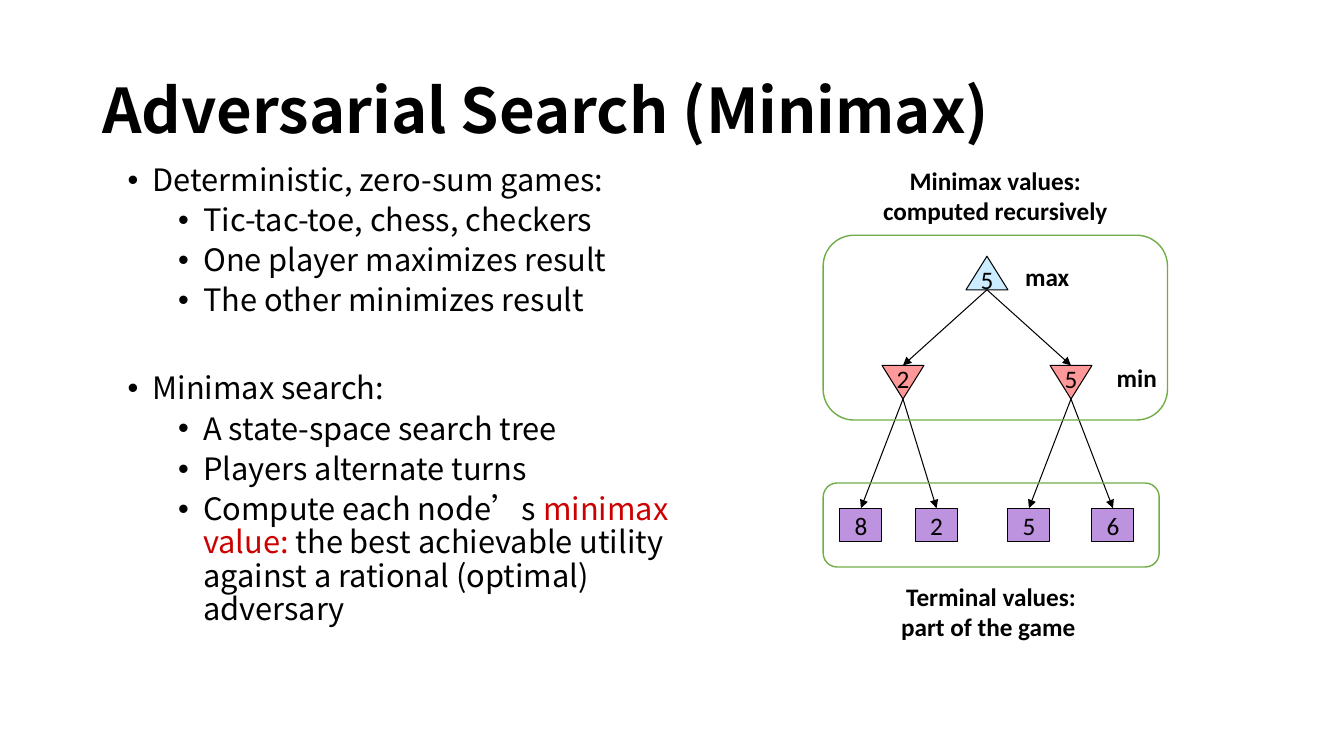
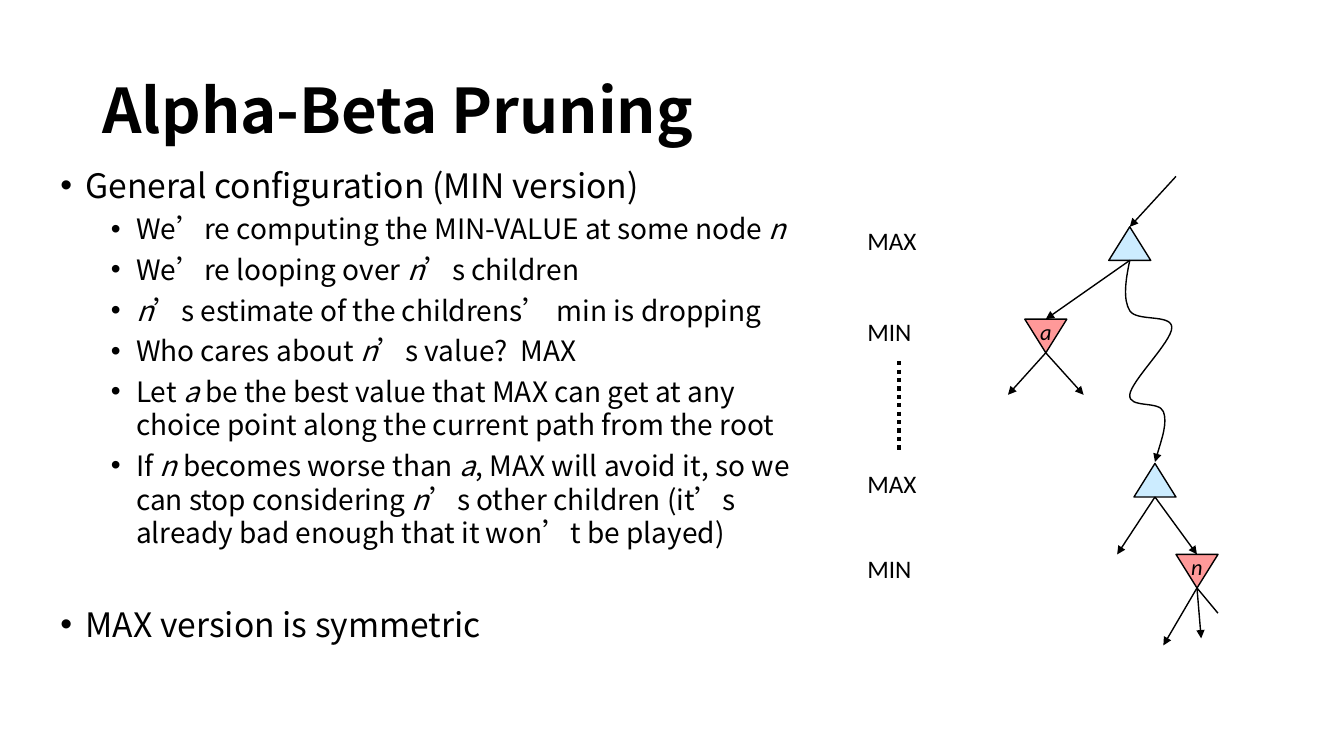
from lxml.etree import SubElement
from pptx import Presentation
from pptx.dml.color import RGBColor
from pptx.enum.dml import MSO_LINE
from pptx.enum.shapes import MSO_CONNECTOR, MSO_SHAPE
from pptx.enum.text import MSO_ANCHOR, MSO_AUTO_SIZE, PP_ALIGN
from pptx.oxml.ns import qn
from pptx.util import Pt

BLACK = RGBColor(0x00, 0x00, 0x00)
RED = RGBColor(0xCC, 0x00, 0x00)
GREEN = RGBColor(0x70, 0xAD, 0x47)
MAX_BLUE = RGBColor(0xCC, 0xEC, 0xFF)
MIN_PINK = RGBColor(0xFF, 0x99, 0x99)
LEAF_PURPLE = RGBColor(0xBD, 0x92, 0xDE)

TITLE_FORMAT = {"name": "Noto Sans CJK SC", "size": Pt(44), "bold": True}
BODY_FORMAT = {"name": "Noto Sans CJK SC"}
LABEL_FORMAT = {"name": "Calibri", "size": Pt(18)}
BOLD_LABEL = {**LABEL_FORMAT, "bold": True}
NODE_LETTER = {"name": "Calibri", "size": Pt(16), "italic": True}

NODE_WIDTH, NODE_HEIGHT = 30, 24
LABEL_HEIGHT = 29
SECTION_GAP = 39

MINIMAX_LIST = [
    (0, 0, "Deterministic, zero-sum games:"),
    (1, 5, "Tic-tac-toe, chess, checkers"),
    (1, 5, "One player maximizes result"),
    (1, 5, "The other minimizes result"),
    (0, SECTION_GAP, "Minimax search:"),
    (1, 5, "A state-space search tree"),
    (1, 5, "Players alternate turns"),
    (1, 5, "Compute each node’s *minimax value: *the best achievable utility "
           "against a rational (optimal) adversary"),
]
PRUNING_LIST = [
    (0, 0, "General configuration (MIN version)"),
    (1, 5, "We’re computing the MIN-VALUE at some node *n*"),
    (1, 5, "We’re looping over *n*’s children"),
    (1, 5, "*n*’s estimate of the childrens’ min is dropping"),
    (1, 5, "Who cares about *n*’s value?  MAX"),
    (1, 5, "Let *a* be the best value that MAX can get at any choice point "
           "along the current path from the root"),
    (1, 5, "If *n* becomes worse than *a*, MAX will avoid it, so we can stop "
           "considering *n*’s other children (it’s already bad enough that "
           "it won’t be played)"),
    (0, SECTION_GAP, "MAX version is symmetric"),
]


def format_font(font, values, color=BLACK):
    """Set every font attribute in values, and the colour."""
    for name, value in values.items():
        setattr(font, name, value)
    font.color.rgb = color


def place(shape, left, top, width, height):
    """Move and size a shape, in points."""
    box = {"left": left, "top": top, "width": width, "height": height}
    for name, value in box.items():
        setattr(shape, name, Pt(value))


def add_titled_slide(presentation, title):
    """Add a slide with the shared title style."""
    slide = presentation.slides.add_slide(presentation.slide_layouts[1])
    shape = slide.shapes.title
    place(shape, 66, 29, 828, 104)
    frame = shape.text_frame
    frame.text = title
    frame.auto_size = MSO_AUTO_SIZE.NONE
    frame.vertical_anchor = MSO_ANCHOR.MIDDLE
    paragraph = frame.paragraphs[0]
    paragraph.alignment = PP_ALIGN.LEFT
    paragraph.line_spacing = 0.9
    format_font(paragraph.runs[0].font, TITLE_FORMAT)
    return slide


def add_bullet(paragraph, level):
    """Give a paragraph a round bullet and a hanging indent."""
    properties = paragraph._p.get_or_add_pPr()
    properties.set("marL", str(Pt(18 + 36 * level)))
    properties.set("indent", str(Pt(-18)))
    SubElement(properties, qn("a:buChar")).set("char", "•")


def fill_body(slide, box, items, sizes, spacing, emphasis, emphasis_color):
    """Write the bullet list; parts between asterisks are emphasised."""
    body = slide.placeholders[1]
    place(body, *box)
    frame = body.text_frame
    frame.auto_size = MSO_AUTO_SIZE.NONE
    for index, (level, space_before, text) in enumerate(items):
        paragraph = frame.add_paragraph() if index else frame.paragraphs[0]
        paragraph.level = level
        add_bullet(paragraph, level)
        paragraph.line_spacing = spacing
        paragraph.space_before = Pt(space_before)
        for part_index, part in enumerate(text.split("*")):
            if not part:
                continue
            run = paragraph.add_run()
            run.text = part
            values = {**BODY_FORMAT, "size": Pt(sizes[level])}
            if part_index % 2:
                format_font(run.font, {**values, **emphasis}, emphasis_color)
            else:
                format_font(run.font, values)


def write_text(shape, text, values, alignment=PP_ALIGN.CENTER, wrap=True):
    """Write one paragraph, centred vertically in the shape."""
    frame = shape.text_frame
    frame.word_wrap = wrap
    frame.vertical_anchor = MSO_ANCHOR.MIDDLE
    paragraph = frame.paragraphs[0]
    paragraph.text = text
    paragraph.alignment = alignment
    for run in paragraph.runs:
        format_font(run.font, values)


def add_label(slide, box, text, values, **options):
    """Add a text box."""
    label = slide.shapes.add_textbox(*map(Pt, box))
    write_text(label, text, values, **options)


def add_outlined(slide, kind, box, fill, line_color, line_width):
    """Add a preset shape with a thin outline; fill may be None."""
    shape = slide.shapes.add_shape(kind, *map(Pt, box))
    shape.shadow.inherit = False
    if fill is None:
        shape.fill.background()
    else:
        shape.fill.solid()
        shape.fill.fore_color.rgb = fill
    shape.line.color.rgb = line_color
    shape.line.width = Pt(line_width)
    return shape


def add_node(slide, left, top, line_width, is_max, text="", values=None):
    """Add a max triangle, or an inverted min triangle, and its label."""
    box = (left, top, NODE_WIDTH, NODE_HEIGHT)
    triangle = add_outlined(slide, MSO_SHAPE.ISOSCELES_TRIANGLE, box,
                            MAX_BLUE if is_max else MIN_PINK, BLACK, line_width)
    triangle.rotation = 0 if is_max else 180
    if text:
        shift = 4.5 if is_max else -3
        label_top = top + (NODE_HEIGHT - LABEL_HEIGHT) / 2 + shift
        add_label(slide, (left, label_top, NODE_WIDTH, LABEL_HEIGHT), text,
                  values, wrap=False)


def add_arrowhead(line):
    """Put a triangle head at the end of a line."""
    SubElement(line._get_or_add_ln(), qn("a:tailEnd")).set("type", "triangle")


def add_line(slide, start, end, width=1, arrow=True):
    """Add a black straight connector between two points."""
    connector = slide.shapes.add_connector(
        MSO_CONNECTOR.STRAIGHT, *map(Pt, (*start, *end)))
    connector.line.color.rgb = BLACK
    connector.line.width = Pt(width)
    if arrow:
        add_arrowhead(connector.line)
    SubElement(connector.element.spPr, qn("a:effectLst"))
    return connector


def add_curve(slide, start, points):
    """Add an open arrow of cubic curves, three points to each curve."""
    builder = slide.shapes.build_freeform(*map(Pt, start))
    builder.add_line_segments([tuple(map(Pt, point)) for point in points],
                              close=False)
    shape = builder.convert_to_shape()
    outline = next(shape.element.iter(qn("a:path")))
    segments = outline.findall(qn("a:lnTo"))
    for first in range(0, len(segments), 3):
        curve = SubElement(outline, qn("a:cubicBezTo"))
        for segment in segments[first:first + 3]:
            curve.append(segment[0])
            outline.remove(segment)
    shape.shadow.inherit = False
    shape.fill.background()
    shape.line.color.rgb = BLACK
    shape.line.width = Pt(1)
    add_arrowhead(shape.line)


def build_minimax(presentation):
    """Build the slide on minimax search."""
    slide = add_titled_slide(presentation, "Adversarial Search (Minimax)")
    fill_body(slide, (84, 114, 432, 356), MINIMAX_LIST, (22, 22), 0.9, {}, RED)
    add_node(slide, 690, 183, 0.75, True, "5", LABEL_FORMAT)
    branches = [(630, "2", [(600, "8"), (654, "2")]),
                (750, "5", [(720, "5"), (780, "6")])]
    for left, value, leaves in branches:
        center = left + NODE_WIDTH / 2
        add_node(slide, left, 261, 0.75, False, value, LABEL_FORMAT)
        add_line(slide, (705, 207), (center, 261), 0.75)
        for leaf_left, leaf_value in leaves:
            box = (leaf_left, 363, NODE_WIDTH, NODE_HEIGHT)
            leaf = add_outlined(slide, MSO_SHAPE.RECTANGLE, box,
                                LEAF_PURPLE, BLACK, 0.75)
            write_text(leaf, leaf_value, LABEL_FORMAT, wrap=False)
            branch = add_line(slide, (center, 285), (leaf_left, 363), 0.75)
            branch.end_connect(leaf, 0)
    for box in [(588, 345, 240, 60), (588, 168, 246, 132)]:
        add_outlined(slide, MSO_SHAPE.ROUNDED_RECTANGLE, box, None, GREEN, 1)
    for box, text in [
        ((721.5, 183, 53, LABEL_HEIGHT), "max"),
        ((785.5, 255, 53, LABEL_HEIGHT), "min"),
        ((588, 411, 240, 51), "Terminal values:\vpart of the game "),
        ((588, 114, 246, 51), "Minimax values:\vcomputed recursively"),
    ]:
        add_label(slide, box, text, BOLD_LABEL)


def build_pruning(presentation):
    """Build the slide on alpha-beta pruning."""
    slide = add_titled_slide(presentation, "Alpha-Beta Pruning")
    fill_body(slide, (36, 114, 540, 356), PRUNING_LIST, (24, 20), 1.0,
              {"italic": True}, BLACK)
    for top, text in [(157, "MAX"), (222, "MIN"), (331, "MAX"), (391.5, "MIN")]:
        add_label(slide, (612.5, top, 50, LABEL_HEIGHT), text, LABEL_FORMAT,
                  alignment=PP_ALIGN.LEFT, wrap=False)
    dots = add_line(slide, (642, 258), (642, 324), 3, arrow=False)
    dots.line.dash_style = MSO_LINE.ROUND_DOT
    add_node(slide, 792, 162, 1, True)
    add_node(slide, 732, 228, 1, False, "a", NODE_LETTER)
    add_node(slide, 810, 331, 1, True)
    add_node(slide, 840, 396, 1, False, "n", NODE_LETTER)
    for start, ends in [
        ((840, 126), [(807, 162)]),
        ((807, 186), [(747, 228)]),
        ((747, 252), [(720, 282), (774, 282)]),
        ((825, 355), [(798, 396), (855, 396)]),
        ((855, 420), [(831, 461), (858, 456)]),
    ]:
        for end in ends:
            add_line(slide, start, end)
    add_line(slide, (855, 420), (870, 438), arrow=False)
    add_curve(slide, (807, 186), [
        (804, 200), (802, 214), (807, 222),
        (812, 230), (837, 224), (837, 234),
        (837, 244), (808, 272), (807, 282),
        (806, 292), (828, 286), (831, 294),
        (834, 302), (829, 316), (825, 330),
    ])


def main():
    """Build and save the presentation."""
    presentation = Presentation()
    presentation.slide_width = Pt(960)
    presentation.slide_height = Pt(540)
    build_minimax(presentation)
    build_pruning(presentation)
    presentation.save("out.pptx")


if __name__ == "__main__":
    main()
